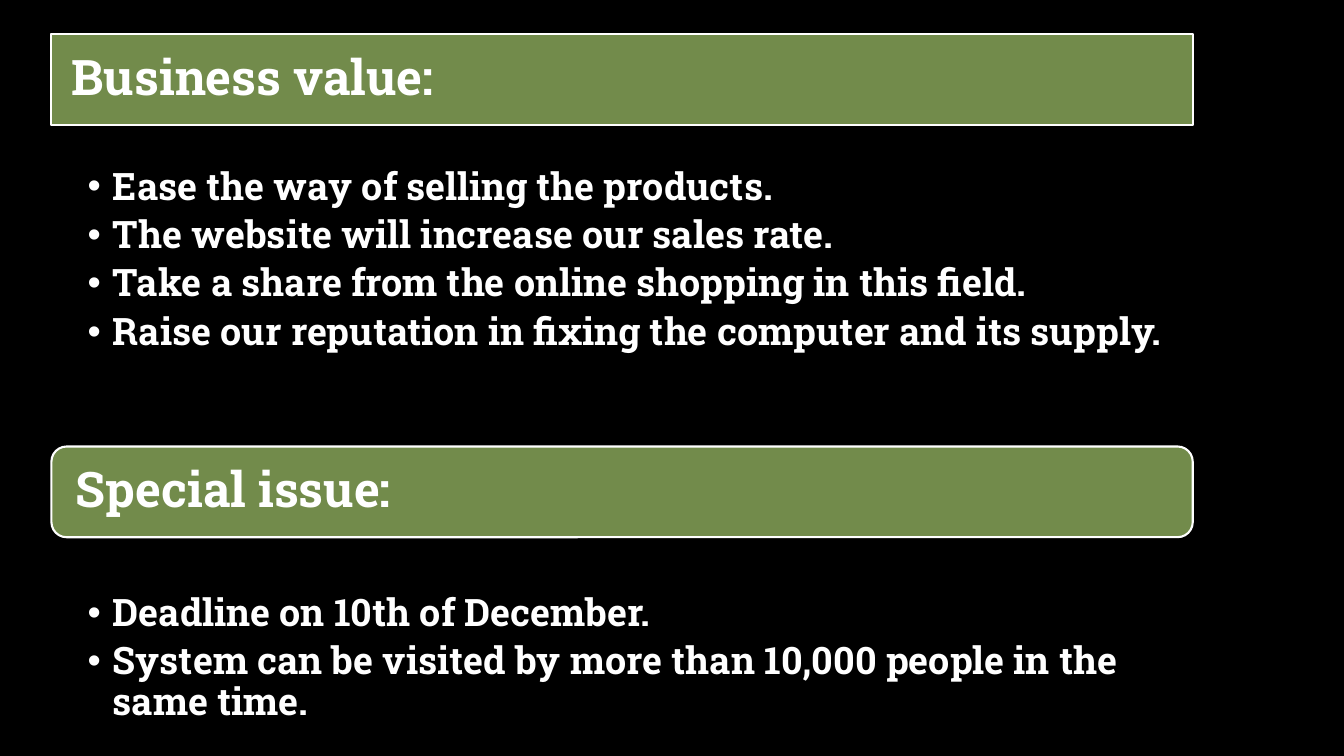
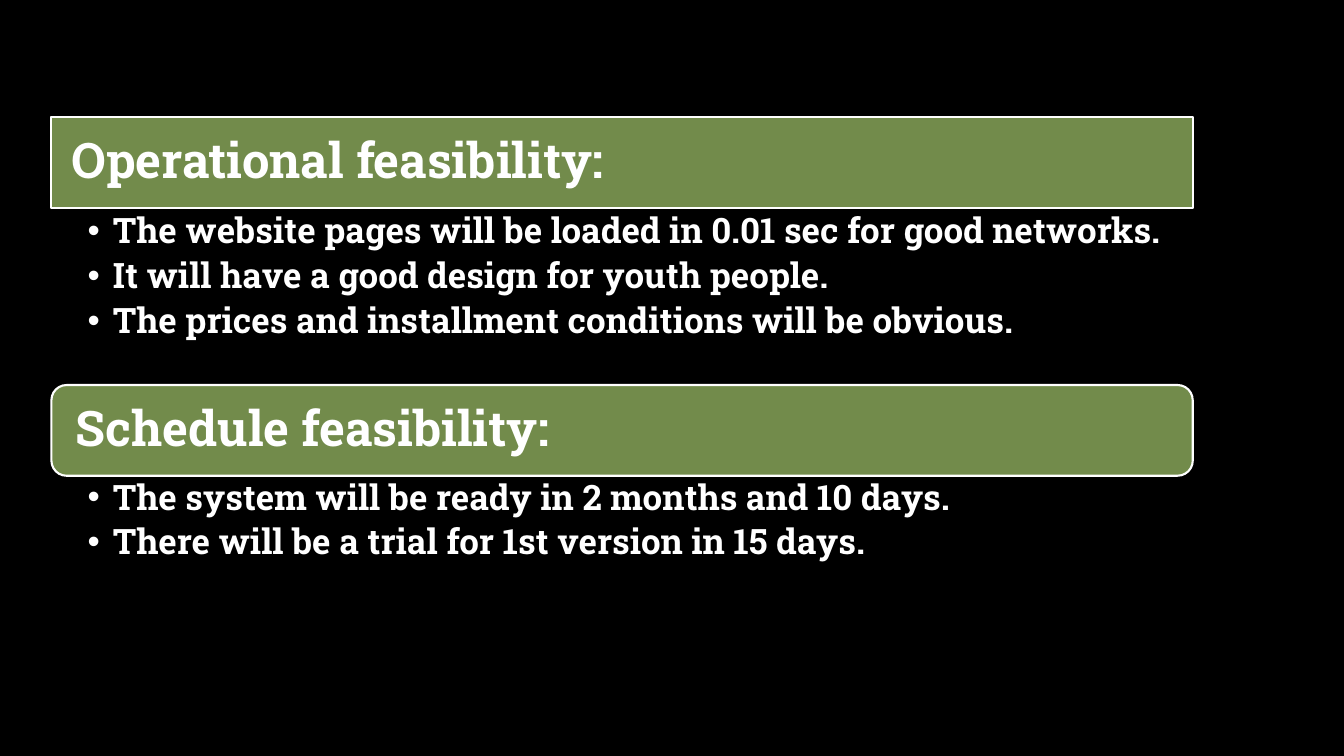
from dataclasses import dataclass

from lxml import etree
from pptx import Presentation
from pptx.dml.color import RGBColor
from pptx.enum.text import MSO_ANCHOR, MSO_AUTO_SIZE, PP_ALIGN
from pptx.oxml.ns import qn
from pptx.slide import Slide
from pptx.util import Inches, Pt

MIDDLE, TOP = MSO_ANCHOR.MIDDLE, MSO_ANCHOR.TOP
LEFT = PP_ALIGN.LEFT
NO_FIT = MSO_AUTO_SIZE.NONE


@dataclass(frozen=True)
class Theme:
    back: RGBColor = RGBColor(0, 0, 0)
    band: RGBColor = RGBColor(0x72, 0x8B, 0x4B)
    ink: RGBColor = RGBColor(255, 255, 255)
    font: str = "Roboto Slab"
    head: int = 35
    edge: float = 1.5
    line: float = 0.9
    after: float = 0.2


@dataclass(frozen=True)
class Topic:
    """A heading band with its list; lengths are in inches."""
    head: str
    points: tuple[str, ...]
    top: float
    gap: float
    tall: float


@dataclass(frozen=True)
class Page:
    size: int
    topics: tuple[Topic, ...]


THEME = Theme()
WIDE, HIGH = 13.33, 7.5
SIDE, SPAN, BAND = 0.51, 11.32, 0.9
COMPARE = 4  # layout with a title, two headings and two lists
SLOTS = ((0, 2), (3, 4))  # heading and list placeholder of each topic

PAGES = (
    Page(27, (
        Topic("Business value:", (
            "Ease the way of selling the products.",
            "The website will increase our sales rate.",
            "Take a share from the online shopping in this field.",
            "Raise our reputation in fixing the computer and its supply.",
        ), 0.34, 0.38, 2.81),
        Topic("Special issue:", (
            "Deadline on 10th of December.",
            "System can be visited by more than 10,000 people in the same time.",
        ), 4.43, 0.52, 1.32),
    )),
    Page(25, (
        Topic("Operational feasibility:", (
            "The website pages will be loaded in 0.01 sec for good networks.",
            "It will have a good design for youth people.",
            "The prices and installment conditions will be obvious.",
        ), 1.16, 0.02, 1.74),
        Topic("Schedule feasibility:", (
            "The system will be ready in 2 months and 10 days.",
            "There will be a trial for 1st version in 15 days.",
        ), 3.82, 0, 0.91),
    )),
)


def place(shape, top: float, tall: float) -> None:
    shape.left, shape.top = Inches(SIDE), Inches(top)
    shape.width, shape.height = Inches(SPAN), Inches(tall)


def fit(frame, anchor: MSO_ANCHOR, left: float, right: float, ends: float) -> None:
    """Set the anchor and insets of a text frame."""
    frame.word_wrap, frame.auto_size = True, NO_FIT
    frame.vertical_anchor = anchor
    frame.margin_left, frame.margin_right = Inches(left), Inches(right)
    frame.margin_top = frame.margin_bottom = Inches(ends)


def style(para, size: int, after: float) -> None:
    para.alignment = LEFT
    para.line_spacing = THEME.line
    para.space_before, para.space_after = Pt(0), Pt(after)
    font = para.font
    font.name, font.size, font.bold = THEME.font, Pt(size), True
    font.color.rgb = THEME.ink


def bullet(para, indent: float) -> None:
    props = para._p.get_or_add_pPr()
    props.set("marL", str(Inches(indent)))
    props.set("indent", str(-Inches(indent)))
    etree.SubElement(props, qn("a:buFont"), typeface="Arial")
    etree.SubElement(props, qn("a:buChar"), char="•")


def draw_band(shape, topic: Topic) -> None:
    place(shape, topic.top, BAND)
    etree.SubElement(shape._element.spPr, qn("a:prstGeom"), prst="roundRect")
    shape.fill.solid()
    shape.fill.fore_color.rgb = THEME.band
    shape.line.color.rgb = THEME.ink
    shape.line.width = Pt(THEME.edge)
    frame = shape.text_frame
    frame.text = topic.head
    fit(frame, MIDDLE, 0.2, 0.2, 0.15)
    style(frame.paragraphs[0], THEME.head, 0)


def draw_list(shape, topic: Topic, size: int) -> None:
    place(shape, topic.top + BAND + topic.gap, topic.tall)
    frame = shape.text_frame
    frame.text = "\n".join(topic.points)
    fit(frame, TOP, 0.36, 0.21, 0.04)
    for para in frame.paragraphs:
        bullet(para, 0.25)
        style(para, size, size * THEME.after)


def draw_page(slide: Slide, page: Page) -> None:
    """Fill the placeholders topic by topic and remove the unused ones."""
    slots = {s.placeholder_format.idx: s for s in slide.placeholders}
    for topic, (head, body) in zip(page.topics, SLOTS):
        draw_band(slots.pop(head), topic)
        draw_list(slots.pop(body), topic, page.size)
    for spare in slots.values():
        spare._element.getparent().remove(spare._element)


def main() -> None:
    deck = Presentation()
    deck.slide_width, deck.slide_height = Inches(WIDE), Inches(HIGH)
    fill = deck.slide_master.background.fill
    fill.solid()
    fill.fore_color.rgb = THEME.back
    for page in PAGES:
        draw_page(deck.slides.add_slide(deck.slide_layouts[COMPARE]), page)
    deck.save("out.pptx")


if __name__ == "__main__":
    main()
